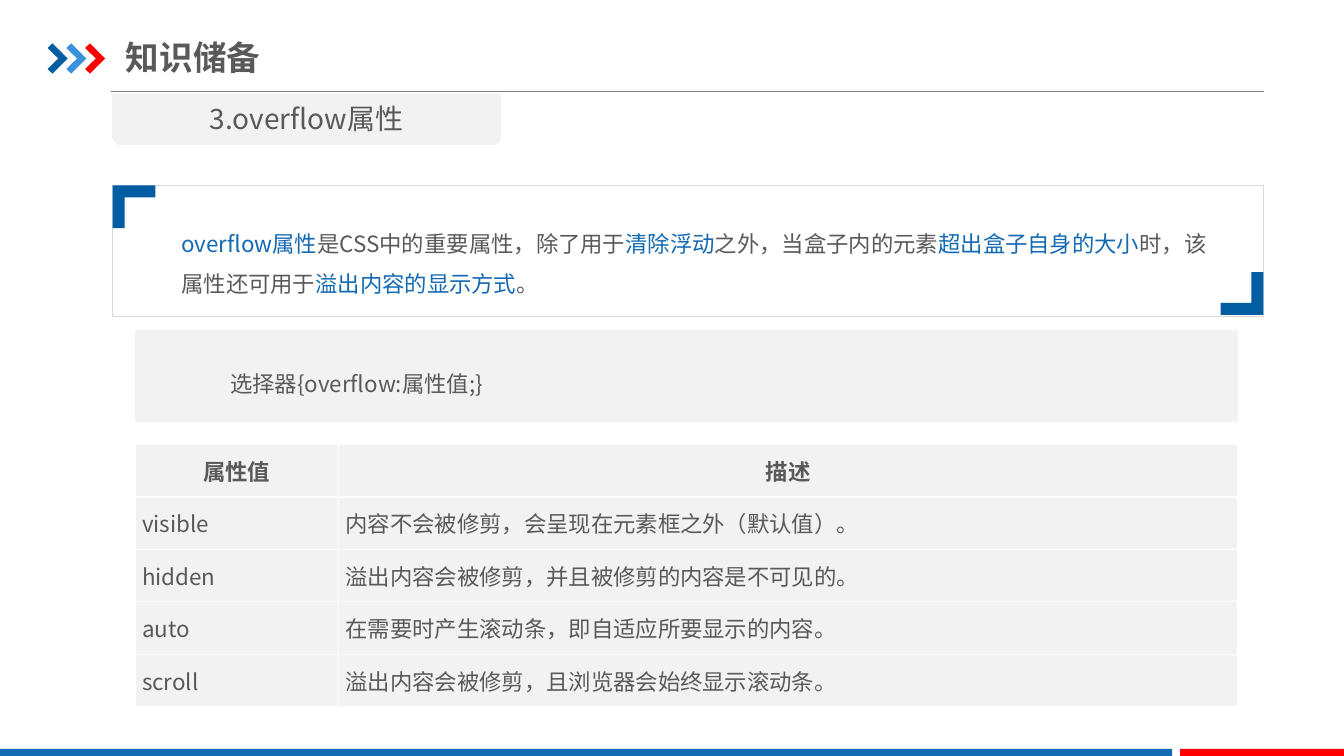
from lxml.etree import SubElement
from pptx import Presentation
from pptx.dml.color import RGBColor
from pptx.enum.shapes import MSO_CONNECTOR, MSO_SHAPE
from pptx.enum.text import MSO_ANCHOR, MSO_AUTO_SIZE, PP_ALIGN
from pptx.oxml.ns import qn
from pptx.util import Pt

DEEP_BLUE = RGBColor(0x00, 0x5D, 0xA2)
BLUE = RGBColor(0x13, 0x69, 0xB2)
LIGHT_BLUE = RGBColor(0x39, 0x92, 0xDB)
RED = RGBColor(0xFF, 0x00, 0x00)
TEXT_GRAY = RGBColor(0x59, 0x59, 0x59)
RULE_GRAY = RGBColor(0x80, 0x80, 0x80)
FRAME_GRAY = RGBColor(0xD9, 0xD9, 0xD9)
PANEL_GRAY = RGBColor(0xF2, 0xF2, 0xF2)
FONT = "Noto Sans CJK SC"

CHEVRON = [(0, 3.3), (3.5, 0), (14.4, 10.8), (3.5, 21.6), (0, 18.3), (7.7, 10.8)]
CORNER = [(0, 0), (30.5, 0), (30.5, 8.6), (8.6, 8.6), (8.6, 30.5), (0, 30.5)]

OVERVIEW = [
    ("overflow属性", BLUE), ("是CSS中的重要属性，除了用于", TEXT_GRAY),
    ("清除浮动", BLUE), ("之外，当盒子内的元素", TEXT_GRAY),
    ("超出盒子自身的大小", BLUE), ("时，该属性还可用于", TEXT_GRAY),
    ("溢出内容的显示方式", BLUE), ("。", TEXT_GRAY),
]
VALUES = [
    ("属性值", "描述"),
    ("visible", "内容不会被修剪，会呈现在元素框之外（默认值）。"),
    ("hidden", "溢出内容会被修剪，并且被修剪的内容是不可见的。"),
    ("auto", "在需要时产生滚动条，即自适应所要显示的内容。"),
    ("scroll", "溢出内容会被修剪，且浏览器会始终显示滚动条。"),
]


def write(frame, text, size=16, bold=False, align=PP_ALIGN.LEFT, spacing=None,
          anchor=MSO_ANCHOR.TOP, insets=(7.2, 3.6)):
    """Fill a text frame with a string or with (string, colour) spans."""
    frame.word_wrap = True
    frame.auto_size = MSO_AUTO_SIZE.NONE
    frame.vertical_anchor = anchor
    frame.margin_left = frame.margin_right = Pt(insets[0])
    frame.margin_top = frame.margin_bottom = Pt(insets[1])
    para = frame.paragraphs[0]
    para.alignment = align
    para.line_spacing = spacing
    spans = [(text, TEXT_GRAY)] if isinstance(text, str) else text
    for words, color in spans:
        span = para.add_run()
        span.text = words
        span.font.size = Pt(size)
        span.font.bold = bold
        span.font.name = FONT
        span.font.color.rgb = color
        SubElement(span.font._element, qn("a:ea"), typeface=FONT)


class SlideBuilder:
    def __init__(self, deck):
        self.page = deck.slides.add_slide(deck.slide_layouts[5])
        self.shapes = self.page.shapes

    def paint(self, shape, fill=None, line=None):
        shape.shadow.inherit = False
        if fill is None:
            shape.fill.background()
        else:
            shape.fill.solid()
            shape.fill.fore_color.rgb = fill
        if line is None:
            shape.line.fill.background()
        else:
            shape.line.color.rgb = line
            shape.line.width = Pt(1)
        return shape

    def title(self, text, *place, **style):
        box = self.shapes.title
        box.left, box.top, box.width, box.height = map(Pt, place)
        write(box.text_frame, text, **style)

    def text(self, text, *place, **style):
        box = self.shapes.add_textbox(*map(Pt, place))
        write(box.text_frame, text, **style)

    def shape(self, kind, *place, fill=None, line=None):
        return self.paint(self.shapes.add_shape(kind, *map(Pt, place)), fill, line)

    def outline(self, points, left, top, fill, direction=1):
        corners = [(Pt(left + direction * x), Pt(top + direction * y)) for x, y in points]
        builder = self.shapes.build_freeform(*corners[0])
        builder.add_line_segments(corners[1:], close=True)
        return self.paint(builder.convert_to_shape(), fill)

    def rule(self, left, right, y):
        line = self.shapes.add_connector(MSO_CONNECTOR.STRAIGHT, Pt(left), Pt(y), Pt(right), Pt(y))
        line.line.color.rgb = RULE_GRAY
        line.line.width = Pt(0.75)
        SubElement(line._element.spPr, qn("a:effectLst"))

    def cell_borders(self, cell):
        properties = cell._tc.get_or_add_tcPr()
        for index, side in enumerate(("lnL", "lnR", "lnT", "lnB")):
            border = SubElement(properties, qn(f"a:{side}"), w=str(Pt(1)))
            fill = SubElement(border, qn("a:solidFill"))
            SubElement(fill, qn("a:srgbClr"), val="FFFFFF")
            properties.remove(border)
            properties.insert(index, border)

    def table(self, rows, left, top, widths, row_height):
        place = (left, top, sum(widths), row_height * len(rows))
        table = self.shapes.add_table(len(rows), len(widths), *map(Pt, place)).table
        table.horz_banding = False
        for column, width in zip(table.columns, widths):
            column.width = Pt(width)
        for row_index, row in enumerate(rows):
            table.rows[row_index].height = Pt(row_height)
            header = row_index == 0
            for column_index, text in enumerate(row):
                cell = table.cell(row_index, column_index)
                cell.fill.solid()
                cell.fill.fore_color.rgb = PANEL_GRAY
                write(cell.text_frame, text, bold=header,
                      align=PP_ALIGN.CENTER if header else PP_ALIGN.LEFT)
                cell.vertical_anchor = MSO_ANCHOR.MIDDLE
                cell.margin_left = cell.margin_right = Pt(5)
                cell.margin_top = cell.margin_bottom = 0
                self.cell_borders(cell)


def main():
    deck = Presentation()
    deck.slide_width, deck.slide_height = Pt(960), Pt(540)
    slide = SlideBuilder(deck)

    # Header and footer bars
    slide.rule(79.4, 903.2, 65.5)
    for index, color in enumerate((DEEP_BLUE, LIGHT_BLUE, RED)):
        slide.outline(CHEVRON, 34 + 13.4 * index, 31, color)
    slide.shape(MSO_SHAPE.RECTANGLE, 0, 535, 837.2, 5, fill=BLUE)
    slide.shape(MSO_SHAPE.RECTANGLE, 843, 535, 117, 5, fill=RED)
    slide.title("知识储备", 90, 21, 306.7, 39.6, size=24, bold=True,
                anchor=MSO_ANCHOR.MIDDLE, insets=(0, 5))

    # Section tab
    tab = slide.shape(MSO_SHAPE.ROUND_2_SAME_RECTANGLE, 80, 67, 278, 36.7, fill=PANEL_GRAY)
    tab.rotation = 180
    slide.text("3.overflow属性", 80, 69.1, 278, 31.7, size=20, align=PP_ALIGN.CENTER)

    # Overview with corner marks
    frame = slide.shape(MSO_SHAPE.ROUNDED_RECTANGLE, 80.2, 132.4, 822.2, 93.8, line=FRAME_GRAY)
    frame.adjustments[0] = 0
    slide.text(OVERVIEW, 129.6, 154.8, 732.2, 58.3, align=PP_ALIGN.JUSTIFY,
               spacing=1.5, insets=(0, 0))
    slide.outline(CORNER, 80.5, 132.4, DEEP_BLUE)
    slide.outline(CORNER, 902.4, 224.9, DEEP_BLUE, direction=-1)

    # Syntax
    slide.shape(MSO_SHAPE.RECTANGLE, 96.5, 235.6, 787.7, 66, fill=PANEL_GRAY)
    slide.text("选择器{overflow:属性值;}", 157.5, 251.3, 681, 33.1, spacing=1.5)

    # Property values
    slide.table(VALUES, 96.5, 317.5, (145.4, 642.3), 37.5)

    deck.save("out.pptx")


if __name__ == "__main__":
    main()
